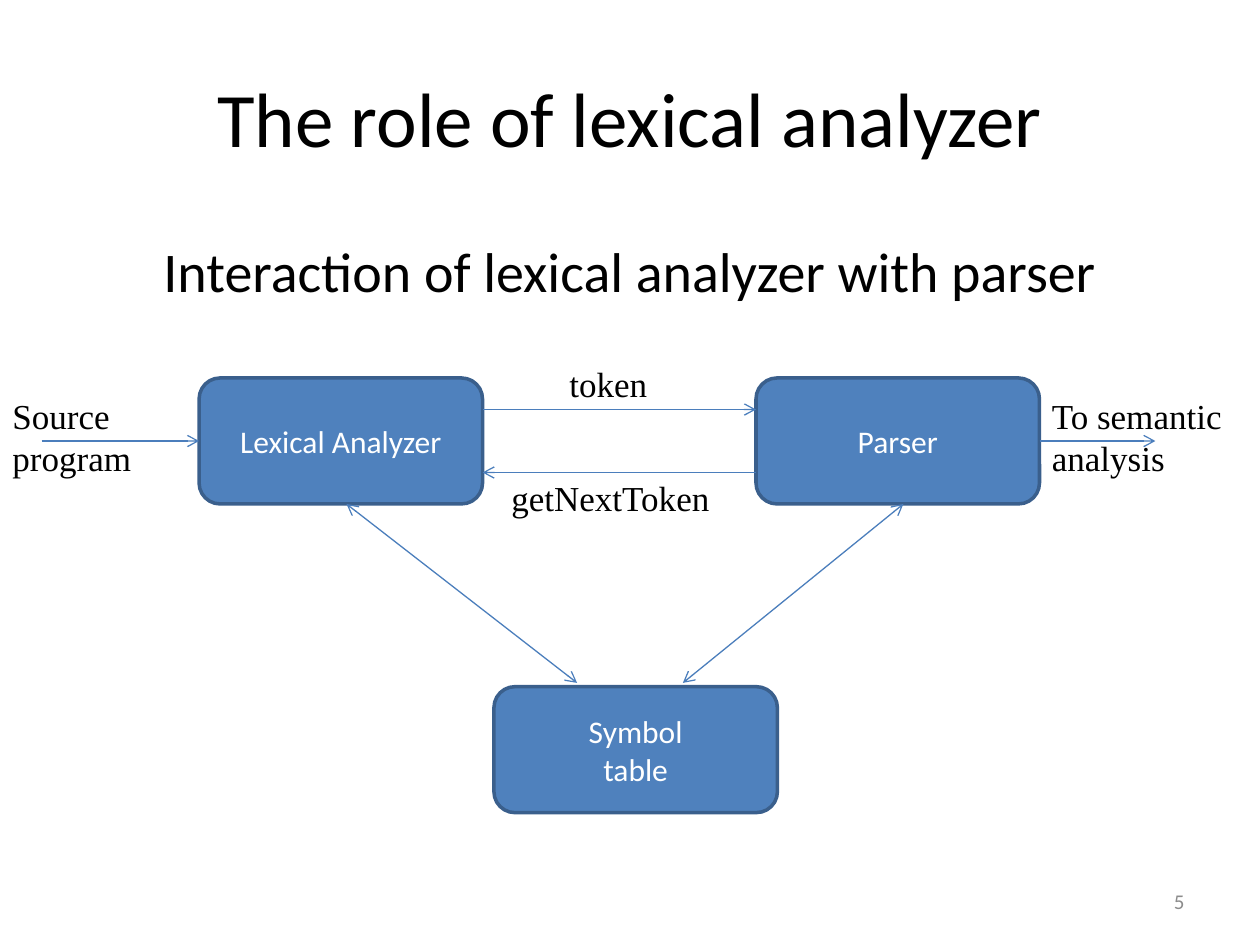
from dataclasses import dataclass

from lxml import etree
from pptx import Presentation
from pptx import util as u
from pptx.dml.color import RGBColor
from pptx.enum import shapes, text
from pptx.oxml.ns import qn

COLORS = {
    "text": "000000",
    "box": "4F81BD",
    "outline": "3A5F8C",
    "arrow": "4B7EBC",
    "box_text": "FFFFFF",
    "number": "8C8C8C",
}
BOX_WIDTH, BOX_HEIGHT = 2.25, 1
LEXER_LEFT, PARSER_LEFT, TABLE_LEFT = 1.58, 6, 3.92
TOP_ROW, TABLE_ROW = 3, 5.45
LEXER_RIGHT, PARSER_RIGHT = LEXER_LEFT + BOX_WIDTH, PARSER_LEFT + BOX_WIDTH
BOTTOM = TOP_ROW + BOX_HEIGHT
MIDDLE = TOP_ROW + BOX_HEIGHT / 2
TOKEN_Y, REQUEST_Y = TOP_ROW + BOX_HEIGHT / 4, TOP_ROW + BOX_HEIGHT * 3 / 4


@dataclass
class Label:
    lines: list[str]
    left: float
    top: float
    width: float
    height: float
    size: float = 20
    font: str = "Times New Roman"
    color: str = "text"
    align: text.PP_ALIGN = text.PP_ALIGN.LEFT
    anchor: text.MSO_ANCHOR = text.MSO_ANCHOR.TOP
    wrap: bool = False
    space_before: float = 0


@dataclass
class Box:
    lines: list[str]
    left: float
    top: float


@dataclass
class Arrow:
    start: tuple[float, float]
    end: tuple[float, float]
    both_ends: bool = False


def rgb(name: str) -> RGBColor:
    return RGBColor.from_string(COLORS[name])


def write_lines(shape, label: Label) -> None:
    frame = shape.text_frame
    frame.word_wrap = label.wrap
    frame.vertical_anchor = label.anchor
    frame.text = "\n".join(label.lines)
    for paragraph in frame.paragraphs:
        paragraph.alignment = label.align
        paragraph.space_before = u.Pt(label.space_before)
        paragraph.font.size = u.Pt(label.size)
        paragraph.font.name = label.font
        paragraph.font.color.rgb = rgb(label.color)


def draw_label(slide, label: Label) -> None:
    place = map(u.Inches, (label.left, label.top, label.width, label.height))
    write_lines(slide.shapes.add_textbox(*place), label)


def draw_box(slide, box: Box) -> None:
    place = (box.left, box.top, BOX_WIDTH, BOX_HEIGHT)
    shape = slide.shapes.add_shape(
        shapes.MSO_SHAPE.ROUNDED_RECTANGLE, *map(u.Inches, place))
    shape.shadow.inherit = False
    shape.fill.solid()
    shape.fill.fore_color.rgb = rgb("box")
    shape.line.color.rgb = rgb("outline")
    shape.line.width = u.Pt(2)
    write_lines(shape, Label(
        box.lines, *place, size=18, font="Calibri", color="box_text",
        align=text.PP_ALIGN.CENTER, anchor=text.MSO_ANCHOR.MIDDLE, wrap=True))


def draw_arrow(slide, arrow: Arrow) -> None:
    connector = slide.shapes.add_connector(
        shapes.MSO_CONNECTOR.STRAIGHT, *map(u.Inches, arrow.start + arrow.end))
    connector.line.color.rgb = rgb("arrow")
    connector.line.width = u.Pt(0.75)
    properties = connector._element.spPr
    line = properties.find(qn("a:ln"))
    for tag in ("a:headEnd", "a:tailEnd") if arrow.both_ends else ("a:tailEnd",):
        etree.SubElement(line, qn(tag), type="arrow")
    etree.SubElement(properties, qn("a:effectLst"))


BOXES = [
    Box(["Lexical Analyzer"], LEXER_LEFT, TOP_ROW),
    Box(["Parser"], PARSER_LEFT, TOP_ROW),
    Box(["Symbol", "table"], TABLE_LEFT, TABLE_ROW),
]
ARROWS = [
    Arrow((0.33, MIDDLE), (LEXER_LEFT, MIDDLE)),
    Arrow((LEXER_RIGHT, TOKEN_Y), (PARSER_LEFT, TOKEN_Y)),
    Arrow((PARSER_LEFT, REQUEST_Y), (LEXER_RIGHT, REQUEST_Y)),
    Arrow((PARSER_RIGHT, MIDDLE), (9.17, MIDDLE)),
    Arrow((2.75, BOTTOM), (4.58, 5.42), both_ends=True),
    Arrow((7.17, BOTTOM), (5.42, 5.42), both_ends=True),
]
LABELS = [
    Label(["The role of lexical analyzer"], 0.5, 0.3, 9, 1.25, 44, "Calibri",
          align=text.PP_ALIGN.CENTER, anchor=text.MSO_ANCHOR.MIDDLE, wrap=True),
    Label(["Interaction of lexical analyzer with parser"], 0.75, 1.83, 8.5, 0.92,
          32, "Calibri", align=text.PP_ALIGN.CENTER, wrap=True, space_before=6.4),
    Label(["Source", "program"], 0, 3.08, 1.15, 0.77),
    Label(["token"], 4.42, 2.83, 0.82, 0.44),
    Label(["getNextToken"], 3.96, 3.73, 1.79, 0.44),
    Label(["To semantic", "analysis"], PARSER_RIGHT, 3.08, 1.56, 0.77),
    Label(["5"], 7.17, 6.95, 2.33, 0.4, 12, "Calibri", "number",
          text.PP_ALIGN.RIGHT, text.MSO_ANCHOR.MIDDLE, wrap=True),
]

presentation = Presentation()
presentation.slide_width, presentation.slide_height = u.Inches(10), u.Inches(7.5)
slide = presentation.slides.add_slide(presentation.slide_layouts[6])

# Diagram boxes, their arrows, then all free-standing text
for box in BOXES:
    draw_box(slide, box)
for arrow in ARROWS:
    draw_arrow(slide, arrow)
for label in LABELS:
    draw_label(slide, label)

presentation.save("out.pptx")
